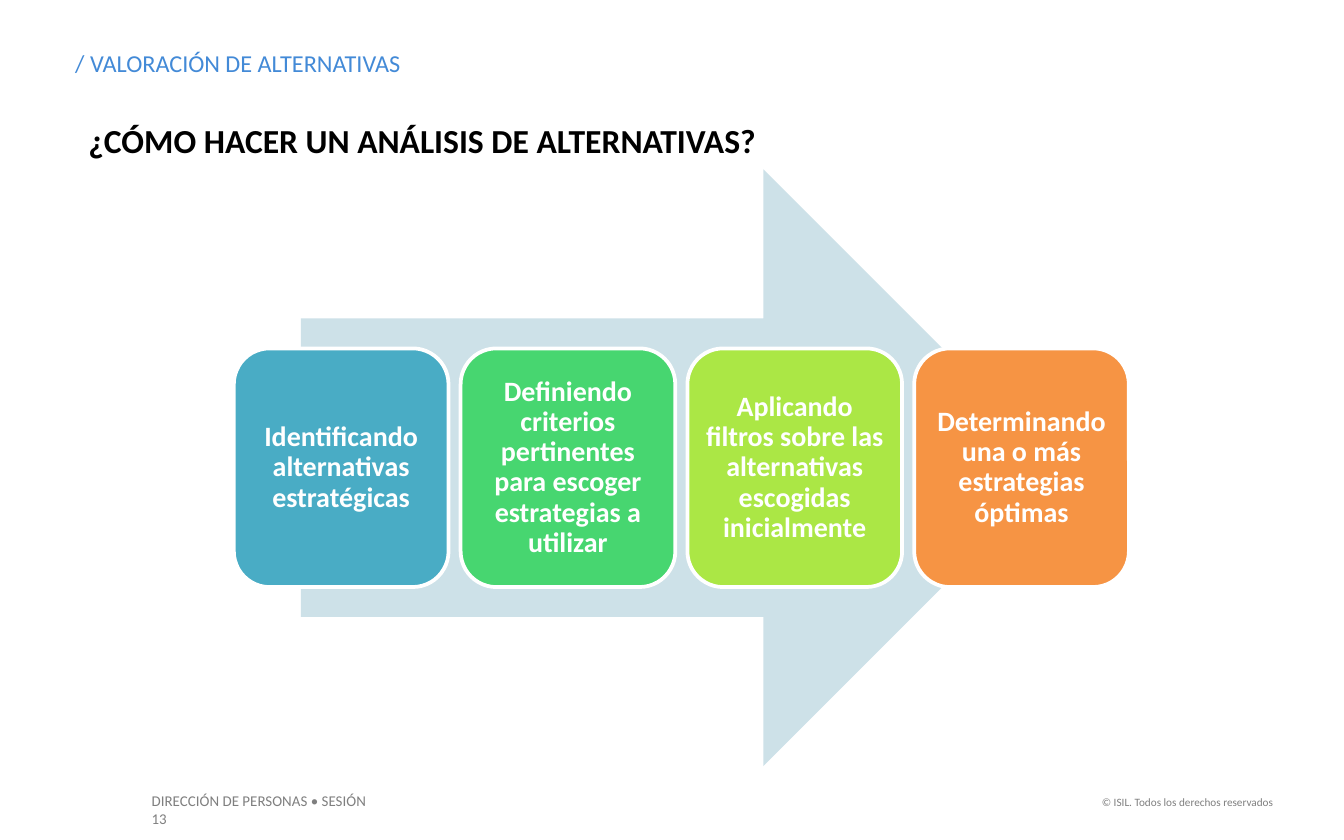
from pptx import Presentation
from pptx import util as u
from pptx.dml.color import RGBColor
from pptx.enum import shapes, text

WIDTH, HEIGHT = 10, 6.25
COLORS = {
    "section": "438AD7", "question": "000000", "footer": "7F7F7F",
    "arrow": "CDE1E8", "white": "FFFFFF",
    "teal": "49ACC5", "green": "47D670", "lime": "ABE745", "orange": "F69444",
}
STEPS = [
    ("Identificando alternativas estratégicas", "teal"),
    ("Definiendo criterios pertinentes para escoger estrategias a utilizar", "green"),
    ("Aplicando filtros sobre las alternativas escogidas inicialmente", "lime"),
    ("Determinando una o más estrategias óptimas", "orange"),
]
LEFT, CENTER, RIGHT = text.PP_ALIGN.LEFT, text.PP_ALIGN.CENTER, text.PP_ALIGN.RIGHT
TOP, MIDDLE = text.MSO_ANCHOR.TOP, text.MSO_ANCHOR.MIDDLE


def rgb(name):
    return RGBColor.from_string(COLORS[name])


def inches(box):
    return [u.Inches(length) for length in box]


def write(holder, wording, size, color, bold=False, align=LEFT, anchor=TOP,
          insets=(0.1, 0.05, 0.1, 0.05), spacing=1.0):
    """Fill a shape with one paragraph; insets run left, top, right, bottom."""
    frame = holder.text_frame
    frame.word_wrap = True
    frame.auto_size = text.MSO_AUTO_SIZE.NONE
    frame.vertical_anchor = anchor
    (frame.margin_left, frame.margin_top,
     frame.margin_right, frame.margin_bottom) = inches(insets)
    paragraph = frame.paragraphs[0]
    paragraph.text = wording
    paragraph.alignment = align
    paragraph.line_spacing = spacing
    font = paragraph.font
    font.name, font.size, font.bold = "Calibri", u.Pt(size), bold
    font.color.rgb = rgb(color)


def add_block(slide, kind, box, fill):
    block = slide.shapes.add_shape(kind, *inches(box))
    block.shadow.inherit = False
    block.fill.solid()
    block.fill.fore_color.rgb = rgb(fill)
    block.line.fill.background()
    return block


def add_heading(slide, box):
    left, top, width, height = box
    section = slide.shapes.title
    section.left, section.top, section.width, section.height = inches(
        (left, top, width * 0.87, height * 0.25))
    write(section, "/ VALORACIÓN DE ALTERNATIVAS", 13, "section", insets=(0, 0, 0, 0))
    question = slide.shapes.add_textbox(
        *inches((left, top + height * 0.53, width, height * 0.47)))
    write(question, "¿CÓMO HACER UN ANÁLISIS DE ALTERNATIVAS?", 18, "question",
          bold=True, spacing=1.07)


def add_process(slide, box):
    """Draw the steps in equal columns over an arrow spanning 85 % of the width."""
    left, top, width, height = box
    arrow_width = width * 0.85
    add_block(slide, shapes.MSO_SHAPE.RIGHT_ARROW,
              (left + (width - arrow_width) / 2, top, arrow_width, height), "arrow")
    gap = 0.09
    step_width = (width - gap * (len(STEPS) - 1)) / len(STEPS)
    step_height = height * 0.4
    for column, (wording, fill) in enumerate(STEPS):
        step = add_block(slide, shapes.MSO_SHAPE.ROUNDED_RECTANGLE,
                         (left + column * (step_width + gap),
                          top + (height - step_height) / 2,
                          step_width, step_height), fill)
        step.line.color.rgb = rgb("white")
        step.line.width = u.Pt(2)
        write(step, wording, 15, "white", bold=True, align=CENTER, anchor=MIDDLE,
              insets=(0.06,) * 4, spacing=0.9)


def add_footer(slide, box):
    left, top, width, height = box
    course = slide.shapes.add_textbox(*inches((left, top, 1.98, height)))
    write(course, "DIRECCIÓN DE PERSONAS • SESIÓN 13", 8, "footer",
          insets=(0.1, 0.05, 0.2, 0.05))
    rights = slide.shapes.add_textbox(
        *inches((left + width - 1.52, top + 0.03, 1.52, height)))
    write(rights, "© ISIL. Todos los derechos reservados", 6, "footer", align=RIGHT)


def main():
    deck = Presentation()
    deck.slide_width, deck.slide_height = u.Inches(WIDTH), u.Inches(HEIGHT)
    slide = deck.slides.add_slide(deck.slide_layouts[5])
    add_footer(slide, (1.03, 5.84, 8.54, 0.24))
    add_heading(slide, (0.56, 0.36, 8.1, 0.87))
    add_process(slide, (1.74, 1.26, 6.66, 4.44))
    deck.save("out.pptx")


if __name__ == "__main__":
    main()
